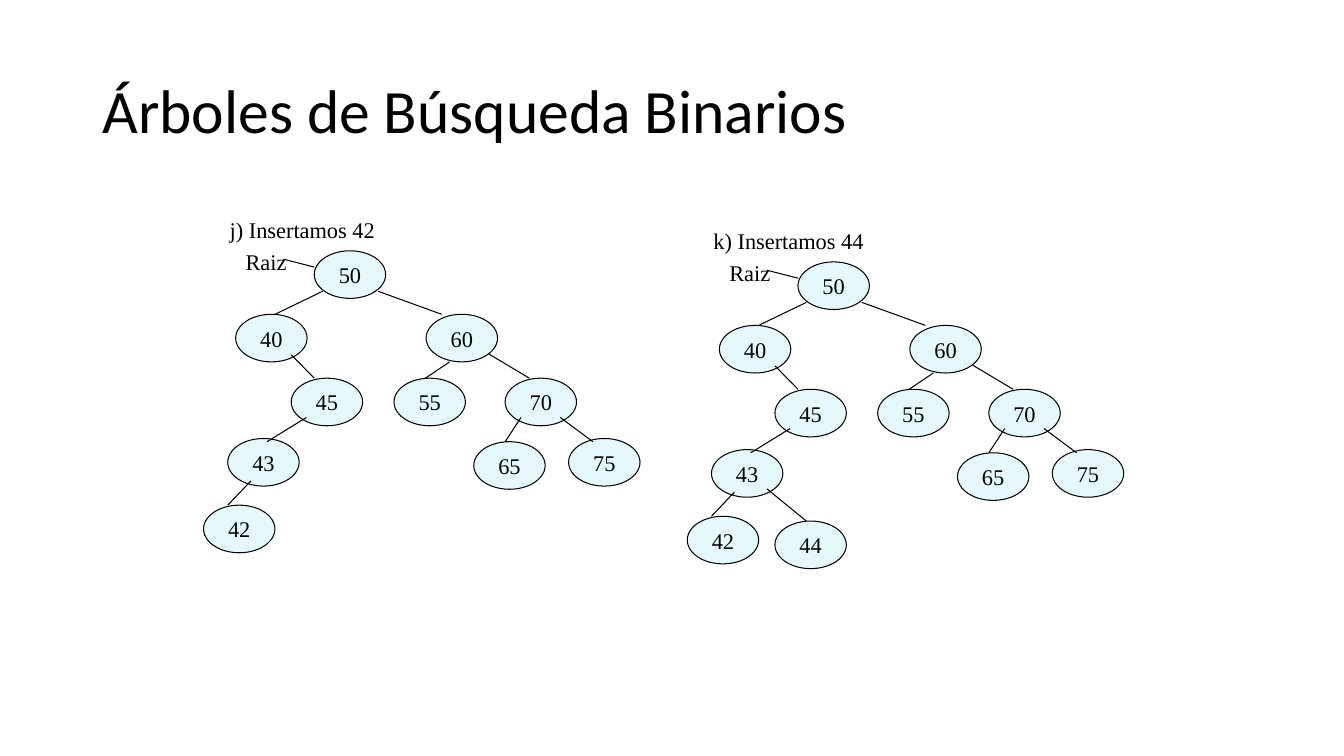
from lxml import etree
from pptx import Presentation
from pptx.dml.color import RGBColor
from pptx.enum.shapes import MSO_CONNECTOR, MSO_SHAPE
from pptx.enum.text import MSO_ANCHOR, PP_ALIGN
from pptx.oxml.ns import qn
from pptx.util import Cm, Pt

STRAIGHT, OVAL = MSO_CONNECTOR.STRAIGHT, MSO_SHAPE.OVAL
MIDDLE = MSO_ANCHOR.MIDDLE
LEFT, CENTER = PP_ALIGN.LEFT, PP_ALIGN.CENTER
NODE_W, NODE_H = 1.8, 1.2


def color(hex_string):
    return RGBColor.from_string(hex_string)


def set_text(sp, text, size, font, align):
    sp.text_frame.text = text
    p = sp.text_frame.paragraphs[0]
    p.alignment = align
    p.font.size, p.font.name = Pt(size), font
    p.font.color.rgb = color("000000")
    return p


prs = Presentation()
prs.slide_width, prs.slide_height = Cm(33.87), Cm(19.05)
s = prs.slides.add_slide(prs.slide_layouts[5])

# Title
title = s.shapes.title
title.left, title.top, title.width, title.height = Cm(2.33), Cm(1.01), Cm(29.21), Cm(3.68)
title.text_frame.vertical_anchor = MIDDLE
set_text(title, "Árboles de Búsqueda Binarios", 44, "Calibri", LEFT).line_spacing = 0.9

# Tree after inserting 42: left and top of each node, ends of each branch (cm)
nodes = {
    "50": (7.92, 6.32),
    "40": (5.94, 7.92), "60": (10.74, 7.92),
    "45": (7.34, 9.53), "55": (9.93, 9.53), "70": (12.73, 9.53),
    "43": (5.74, 11.05), "65": (11.94, 11.13), "75": (14.33, 11.05),
    "42": (5.13, 12.73),
}
branches = [
    (7.14, 6.53, 7.92, 6.73),      # Raiz - 50
    (8.13, 7.34, 6.93, 7.92),      # 50 - 40
    (9.53, 7.34, 11.13, 7.92),     # 50 - 60
    (7.34, 8.94, 7.92, 9.53),      # 40 - 45
    (11.33, 9.12, 10.72, 9.53),    # 60 - 55
    (12.32, 8.92, 13.34, 9.53),    # 60 - 70
    (7.72, 10.52, 6.73, 11.13),    # 45 - 43
    (13.13, 10.52, 12.73, 11.13),  # 70 - 65
    (14.12, 10.52, 14.94, 11.13),  # 70 - 75
    (6.32, 12.12, 5.74, 12.73),    # 43 - 42
]

# The second tree is the first one shifted, plus node 44
nodes_44 = {**nodes, "44": (7.34, 12.85)}
branches_44 = branches + [(7.14, 12.04, 8.13, 12.85)]
trees = [
    ("j) Insertamos 42", 0, 0, nodes, branches),
    ("k) Insertamos 44", 12.19, 0.28, nodes_44, branches_44),
]

for caption, dx, dy, tree_nodes, tree_branches in trees:
    # Caption and root label
    for text, x, y, w in ((caption, 5.54, 5.33, 4.4), ("Raiz", 5.94, 6.13, 1.6)):
        label = s.shapes.add_textbox(Cm(x + dx), Cm(y + dy), Cm(w), Cm(0.94))
        label.text_frame.word_wrap = True
        set_text(label, text, 16, "Times New Roman", LEFT)

    # Nodes
    for key, (x, y) in tree_nodes.items():
        node = s.shapes.add_shape(OVAL, Cm(x + dx), Cm(y + dy), Cm(NODE_W), Cm(NODE_H))
        node.shadow.inherit = False
        node.fill.solid()
        node.fill.fore_color.rgb = color("E6F9FA")
        node.line.color.rgb = color("000000")
        node.line.width = Pt(0.75)
        node.text_frame.word_wrap = False
        node.text_frame.vertical_anchor = MIDDLE
        set_text(node, key, 16, "Times New Roman", CENTER)

    # Branches
    for x1, y1, x2, y2 in tree_branches:
        branch = s.shapes.add_connector(
            STRAIGHT, Cm(x1 + dx), Cm(y1 + dy), Cm(x2 + dx), Cm(y2 + dy))
        branch.line.color.rgb = color("000000")
        branch.line.width = Pt(0.75)
        etree.SubElement(branch._element.spPr, qn("a:effectLst"))

prs.save("out.pptx")
